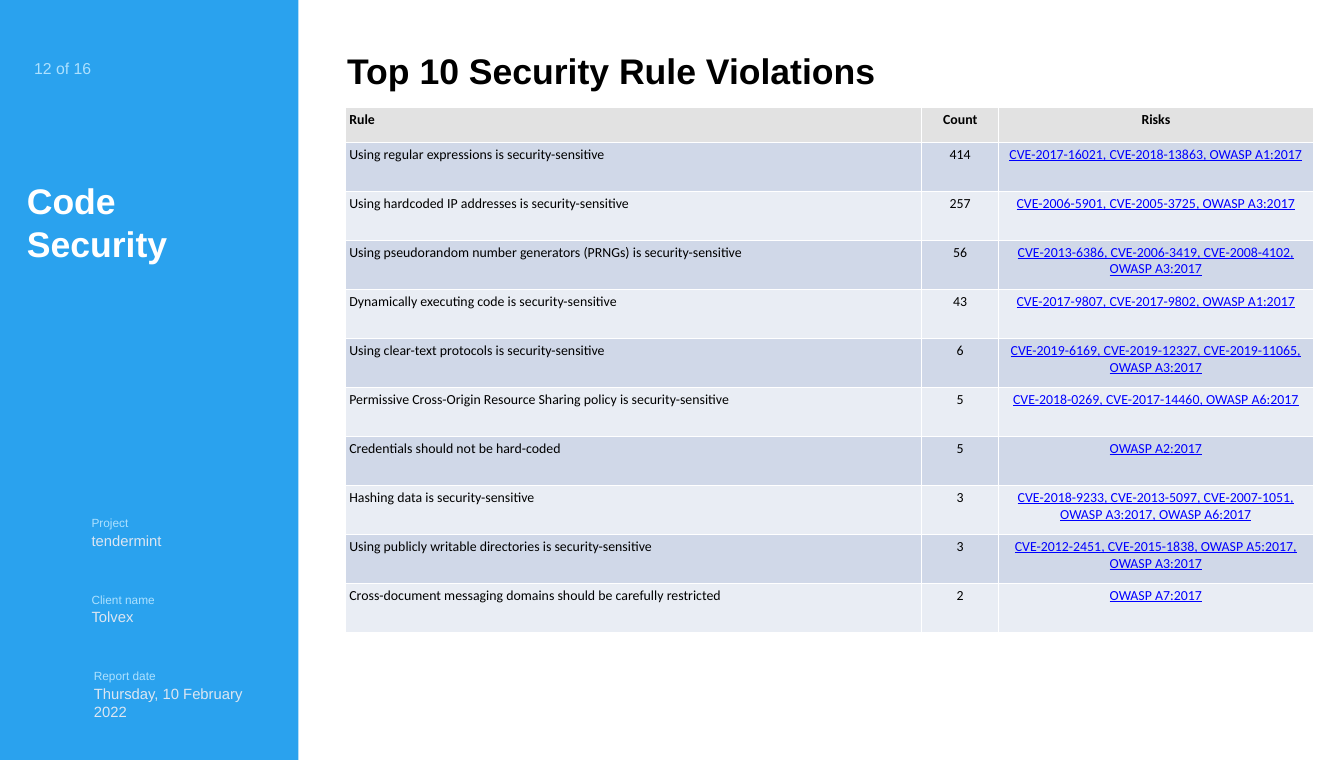
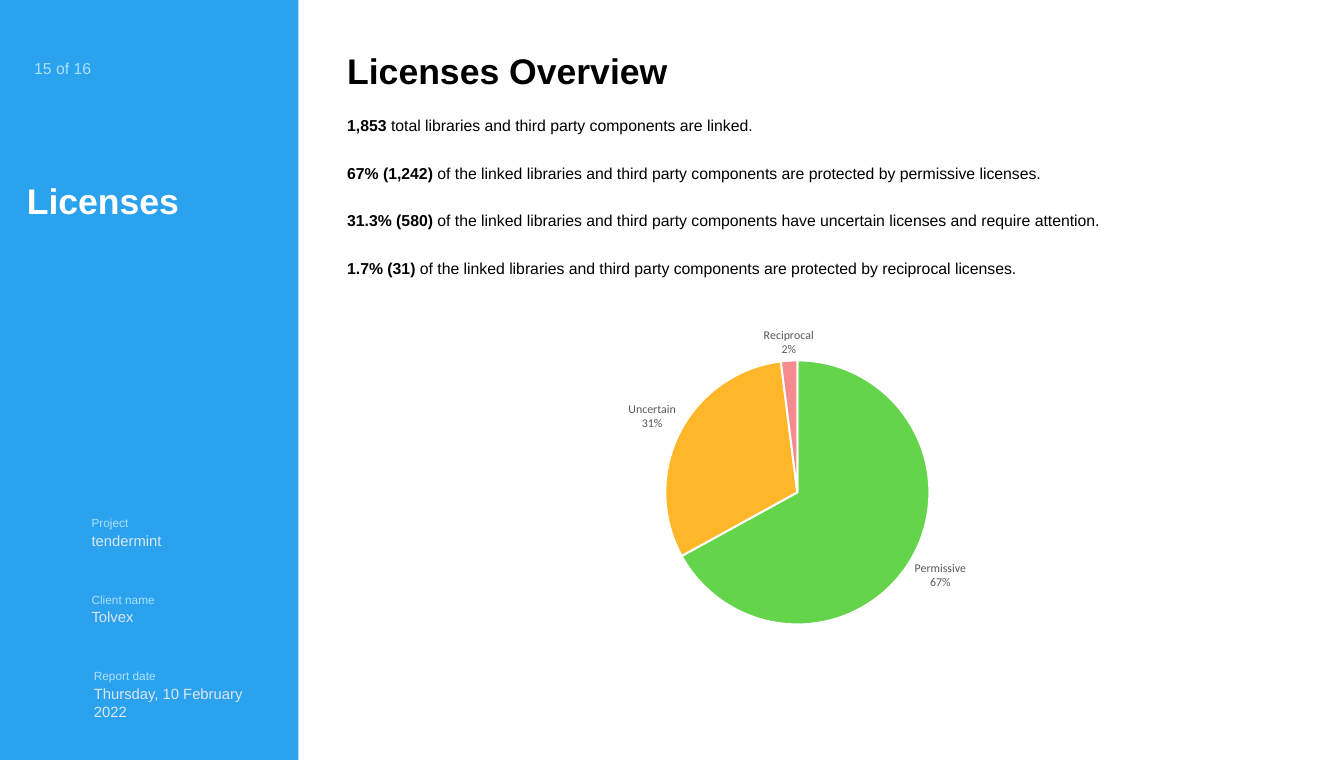
"""Builds two slides of a code audit report: a table of rule violations and a licence pie chart."""
from lxml import etree
from pptx import Presentation
from pptx.chart.data import CategoryChartData
from pptx.dml.color import RGBColor
from pptx.enum.chart import XL_CHART_TYPE, XL_LABEL_POSITION
from pptx.enum.shapes import MSO_SHAPE
from pptx.enum.text import MSO_ANCHOR, MSO_AUTO_SIZE, PP_ALIGN
from pptx.oxml.ns import qn
from pptx.util import Cm, Pt

RECT, PIE = MSO_SHAPE.RECTANGLE, XL_CHART_TYPE.PIE
OUTSIDE_END = XL_LABEL_POSITION.OUTSIDE_END
LEFT, CENTER = PP_ALIGN.LEFT, PP_ALIGN.CENTER
TOP, NO_FIT = MSO_ANCHOR.TOP, MSO_AUTO_SIZE.NONE

BLUE = RGBColor(0x2A, 0xA2, 0xEE)
SKY = RGBColor(0xAD, 0xE1, 0xFF)
PALE = RGBColor(0xDC, 0xE6, 0xF2)
WHITE = RGBColor(0xFF, 0xFF, 0xFF)
BLACK = RGBColor(0, 0, 0)
GREY = RGBColor(0x59, 0x59, 0x59)
LINK = RGBColor(0, 0, 0xFF)
HEADER_FILL = RGBColor(0xE2, 0xE2, 0xE2)
ROW_FILLS = (RGBColor(0xE9, 0xED, 0xF4), RGBColor(0xD0, 0xD8, 0xE8))
GREEN = RGBColor(0x64, 0xD4, 0x4A)
ORANGE = RGBColor(0xFF, 0xAA, 0x00)
RED = RGBColor(0xF4, 0x63, 0x68)

LABEL = dict(name="Arial", size=Pt(12), color=SKY)
VALUE = dict(name="Arial", size=Pt(15), color=PALE)
PAGE = dict(name="Arial", size=Pt(16), color=SKY)
SECTION = dict(name="Arial", size=Pt(36), color=WHITE, bold=True)
TITLE = dict(SECTION, color=BLACK)
BODY = dict(name="Arial", size=Pt(16), color=BLACK)
CELL = dict(name="Calibri", size=Pt(14), color=BLACK, bold=False)
HEADER = dict(CELL, bold=True)
RISK = dict(CELL, color=LINK, underline=True)

PROJECT_FACTS = [
    ("Project", "tendermint", 3.02),
    ("Client name", "Tolvex", 3.02),
    ("Report date", "Thursday, 10 February 2022", 3.1),
]
VIOLATIONS = [
    ("Rule", "Count", "Risks"),
    ("Using regular expressions is security-sensitive", "414",
     "CVE-2017-16021, CVE-2018-13863, OWASP A1:2017"),
    ("Using hardcoded IP addresses is security-sensitive", "257",
     "CVE-2006-5901, CVE-2005-3725, OWASP A3:2017"),
    ("Using pseudorandom number generators (PRNGs) is security-sensitive", "56",
     "CVE-2013-6386, CVE-2006-3419, CVE-2008-4102, OWASP A3:2017"),
    ("Dynamically executing code is security-sensitive", "43",
     "CVE-2017-9807, CVE-2017-9802, OWASP A1:2017"),
    ("Using clear-text protocols is security-sensitive", "6",
     "CVE-2019-6169, CVE-2019-12327, CVE-2019-11065, OWASP A3:2017"),
    ("Permissive Cross-Origin Resource Sharing policy is security-sensitive", "5",
     "CVE-2018-0269, CVE-2017-14460, OWASP A6:2017"),
    ("Credentials should not be hard-coded", "5", "OWASP A2:2017"),
    ("Hashing data is security-sensitive", "3",
     "CVE-2018-9233, CVE-2013-5097, CVE-2007-1051, OWASP A3:2017, OWASP A6:2017"),
    ("Using publicly writable directories is security-sensitive", "3",
     "CVE-2012-2451, CVE-2015-1838, OWASP A5:2017, OWASP A3:2017"),
    ("Cross-document messaging domains should be carefully restricted", "2", "OWASP A7:2017"),
]
COLUMNS = [(20.57, LEFT, CELL), (2.74, CENTER, CELL), (11.23, CENTER, RISK)]
HEADER_HEIGHT, ROW_HEIGHT = 1.24, 1.75

LICENSE_FACTS = [
    ("1,853", " total libraries and third party components are linked."),
    ("67% (1,242)",
     " of the linked libraries and third party components are protected by permissive licenses."),
    ("31.3% (580)", " of the linked libraries and third party components have uncertain "
     "licenses and require attention."),
    ("1.7% (31)",
     " of the linked libraries and third party components are protected by reciprocal licenses."),
]
LICENSES = [
    ("Permissive", 67, GREEN, 100),
    ("Uncertain", 31, ORANGE, 84),
    ("Reciprocal", 2, RED, 74),
]
PLOT_AREA = dict(x=0.217, y=0.152, w=0.571, h=0.702)


def set_font(font, fmt):
    for key, value in fmt.items():
        if key == "color":
            font.color.rgb = value
        else:
            setattr(font, key, value)


def add_run(p, text, fmt):
    r = p.add_run()
    r.text = text
    set_font(r.font, fmt)


def place(sp, left, top, width, height):
    sp.left, sp.top, sp.width, sp.height = Cm(left), Cm(top), Cm(width), Cm(height)
    tf = sp.text_frame
    tf.word_wrap, tf.auto_size, tf.vertical_anchor = True, NO_FIT, TOP
    return tf


def add_text(s, box, text, fmt):
    sp = s.shapes.add_textbox(0, 0, 0, 0)
    tf = place(sp, *box)
    for i, line in enumerate(text.split("\n")):
        p = tf.add_paragraph() if i else tf.paragraphs[0]
        add_run(p, line, fmt)
    return sp


def add_sidebar(prs, s):
    band = s.shapes.add_shape(RECT, Cm(-0.15), 0, Cm(10.8), Cm(27.15))
    band.shadow.inherit = False
    band.fill.solid()
    band.fill.fore_color.rgb = BLUE
    band.line.fill.background()
    parts = [band]
    for i, (label, value, left) in enumerate(PROJECT_FACTS):
        top = 18.29 + 2.73 * i
        parts.append(add_text(s, (left, top, 5, 0.76), label, LABEL))
        parts.append(add_text(s, (left, top + 0.56, 6.35, 0.89), value, VALUE))
    master_tree = prs.slide_master.shapes.element
    for i, sp in enumerate(parts):
        master_tree.insert(2 + i, sp.element)


def add_slide(prs, layout, page, section, title):
    s = prs.slides.add_slide(prs.slide_layouts.get_by_name(layout))
    p = place(s.shapes.title, 12.14, 0.86, 27.51, 2.29).paragraphs[0]
    p.alignment, p.line_spacing = LEFT, 1.5
    add_run(p, title, TITLE)
    add_text(s, (0.97, 1.96, 5, 0.94), page, PAGE)
    add_text(s, (0.71, 6.27, 8.51, 1.8), section, SECTION)
    return s


def set_borders(cell):
    tc_pr = cell._tc.get_or_add_tcPr()
    for side in ("a:lnL", "a:lnR", "a:lnT", "a:lnB"):
        ln = etree.SubElement(tc_pr, qn(side), w=str(Pt(1)))
        fill = etree.SubElement(ln, qn("a:solidFill"))
        etree.SubElement(fill, qn("a:srgbClr"), val=str(WHITE))


def add_violations(s):
    height = HEADER_HEIGHT + ROW_HEIGHT * (len(VIOLATIONS) - 1)
    width = sum(column[0] for column in COLUMNS)
    table = s.shapes.add_table(len(VIOLATIONS), len(COLUMNS), Cm(12.34), Cm(3.84),
                               Cm(width), Cm(height)).table
    for column, (column_width, _, _) in zip(table.columns, COLUMNS):
        column.width = Cm(column_width)
    for i, texts in enumerate(VIOLATIONS):
        table.rows[i].height = Cm(ROW_HEIGHT if i else HEADER_HEIGHT)
        for j, (_, align, fmt) in enumerate(COLUMNS):
            cell = table.cell(i, j)
            set_borders(cell)
            cell.fill.solid()
            cell.fill.fore_color.rgb = ROW_FILLS[i % 2] if i else HEADER_FILL
            for side in ("left", "right", "top", "bottom"):
                setattr(cell, f"margin_{side}", Cm(0.13))
            p = cell.text_frame.paragraphs[0]
            p.alignment = align
            add_run(p, texts[j], fmt if i else HEADER)


def add_license_facts(s):
    tf = place(s.placeholders[1], 12.14, 3.84, 29, 7.87)
    for i, (figure, rest) in enumerate(LICENSE_FACTS):
        p = tf.add_paragraph() if i else tf.paragraphs[0]
        p_pr = p._p.get_or_add_pPr()
        p_pr.set("marL", "0")
        p_pr.set("indent", "0")
        etree.SubElement(p_pr, qn("a:buNone"))
        p.line_spacing, p.space_before = Pt(24), Pt(24 if i else 0)
        add_run(p, figure, dict(BODY, bold=True))
        add_run(p, rest, dict(BODY, bold=False))


def add_license_chart(s):
    data = CategoryChartData()
    data.categories = [name for name, *_ in LICENSES]
    data.add_series("Series 1", [share for _, share, *_ in LICENSES])
    chart = s.shapes.add_chart(PIE, Cm(20.17), Cm(10.82), Cm(16.51), Cm(13.44), data).chart
    chart.has_title = chart.has_legend = False
    set_font(chart.font, dict(name="Calibri", size=Pt(10), color=BLACK))
    plot = chart.plots[0]
    plot.vary_by_categories = True
    series = plot.series[0]
    for i, (_, _, color, opacity) in enumerate(LICENSES):
        fmt = series.points[i].format
        fmt.fill.solid()
        fmt.fill.fore_color.rgb = color
        if opacity < 100:
            clr = fmt._element.find(".//" + qn("a:srgbClr"))
            etree.SubElement(clr, qn("a:alpha"), val=str(opacity * 1000))
        fmt.line.color.rgb = WHITE
        fmt.line.width = Pt(2)

    labels = series.data_labels
    options = dict(show_percentage=True, show_category_name=True, show_value=False,
                   position=OUTSIDE_END, number_format="0%", number_format_is_linked=False)
    for key, value in options.items():
        setattr(labels, key, value)
    set_font(labels.font, dict(name="Calibri", size=Pt(12), color=GREY))
    separator = etree.Element(qn("c:separator"))
    separator.text = "\n"
    labels._element.find(qn("c:showBubbleSize")).addnext(separator)

    plot_area = chart._chartSpace.find(".//" + qn("c:plotArea"))
    for old in plot_area.findall(qn("c:layout")):
        plot_area.remove(old)
    layout = etree.Element(qn("c:layout"))
    plot_area.insert(0, layout)
    manual = etree.SubElement(layout, qn("c:manualLayout"))
    settings = dict(layoutTarget="inner", xMode="edge", yMode="edge", **PLOT_AREA)
    for key, value in settings.items():
        etree.SubElement(manual, qn(f"c:{key}"), val=str(value))


def main():
    prs = Presentation()
    prs.slide_width, prs.slide_height = Cm(47.98), Cm(27.13)
    s = add_slide(prs, "Title Only", "12 of 16", "Code\nSecurity",
                  "Top 10 Security Rule Violations")
    add_sidebar(prs, s)
    add_violations(s)
    s = add_slide(prs, "Title and Content", "15 of 16", "Licenses", "Licenses Overview")
    add_license_facts(s)
    add_license_chart(s)
    prs.save("out.pptx")


if __name__ == "__main__":
    main()
